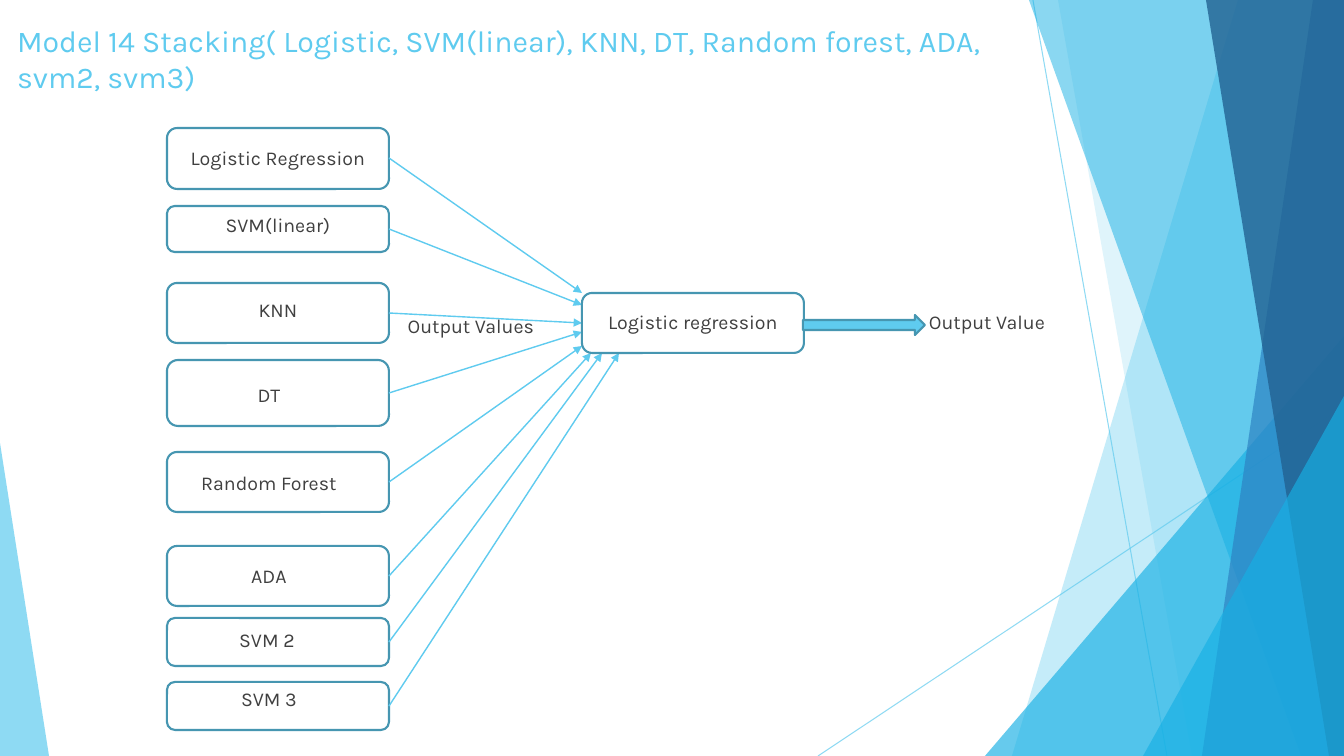
import dataclasses

import lxml.etree
import pptx
import pptx.dml.color
import pptx.enum.shapes
import pptx.enum.text
import pptx.oxml.ns
import pptx.util

SLIDE_WIDTH, SLIDE_HEIGHT = 1344, 756
SCALE = pptx.util.Inches(1) / 100.8
SHAPES = pptx.enum.shapes.MSO_SHAPE
ALIGN = pptx.enum.text.PP_ALIGN


@dataclasses.dataclass(frozen=True)
class Theme:
    font: str = "Karla"
    title_size: float = 21.6
    label_size: int = 14
    accent: str = "5FCBEF"
    bright: str = "17B0E4"
    blue: str = "2E83C3"
    navy: str = "226292"
    outline: str = "4696B1"
    text: str = "404040"


THEME = Theme()

# Facets from back to front: colour, opacity in percent, corner points
FACETS_BACK = [
    (THEME.accent, 36, [(1238, 0), (1344, 0), (1344, 756), (1012, 756)]),
    (THEME.accent, 20, [(1058, 0), (1344, 0), (1344, 756), (1192, 756)]),
]
FACETS_FRONT = [
    (THEME.bright, 50, [(1029, 0), (1344, 0), (1344, 756), (1301, 756)]),
    (THEME.blue, 70, [(1313, 0), (1344, 0), (1344, 756), (1202, 756)]),
    (THEME.navy, 80, [(1206, 0), (1344, 0), (1344, 756), (1329, 756)]),
]

# Base models: name, box top, box height, label left, label top, arrow target
MODEL_LEFT, BOX_WIDTH, LABEL_WIDTH = 167, 222, 204
MODELS = [
    ("Logistic Regression", 128, 61, 176, 141, (582, 293)),
    ("SVM(linear)", 206, 46, 176, 208, (582, 305)),
    ("KNN", 283, 60, 176, 293, (582, 323)),
    ("DT", 360, 66, 167, 378, (582, 332)),
    ("Random Forest", 452, 60, 167, 466, (582, 346)),
    ("ADA", 546, 60, 167, 559, (591, 353)),
    ("SVM 2", 618, 48, 165, 623, (602, 353)),
    ("SVM 3", 682, 48, 167, 682, (619, 353)),
]


def px(*lengths):
    return [pptx.util.Emu(round(length * SCALE)) for length in lengths]


def rgb(colour):
    return pptx.dml.color.RGBColor.from_string(colour)


def set_opacity(shape, percent):
    for colour in shape._element.spPr.iter(pptx.oxml.ns.qn("a:srgbClr")):
        lxml.etree.SubElement(
            colour, pptx.oxml.ns.qn("a:alpha"), val=str(percent * 1000))


def style_shape(shape, fill=None, line=None):
    shape.shadow.inherit = False
    if fill:
        shape.fill.solid()
        shape.fill.fore_color.rgb = rgb(fill)
    else:
        shape.fill.background()
    if line:
        shape.line.color.rgb = rgb(line)
        shape.line.width = pptx.util.Pt(1.5)
    else:
        shape.line.fill.background()


def write_text(shape, text, *, size, colour, align, space_before=0):
    frame = shape.text_frame
    frame.word_wrap = True
    frame.auto_size = pptx.enum.text.MSO_AUTO_SIZE.NONE
    frame.vertical_anchor = pptx.enum.text.MSO_ANCHOR.TOP
    para = frame.paragraphs[0]
    para.alignment = align
    para.space_before = pptx.util.Pt(space_before)
    span = para.add_run()
    span.text = text
    span.font.name = THEME.font
    span.font.size = pptx.util.Pt(size)
    span.font.color.rgb = rgb(colour)


def add_label(page, text, left, top, height):
    box = page.shapes.add_textbox(*px(left, top, LABEL_WIDTH, height))
    write_text(box, text, size=THEME.label_size, colour=THEME.text,
               align=ALIGN.CENTER, space_before=10)


def add_box(page, kind, left, top, width, height, fill=None):
    box = page.shapes.add_shape(kind, *px(left, top, width, height))
    style_shape(box, fill=fill, line=THEME.outline)


def add_line(page, start, end, width, opacity=100, arrow=False):
    line = page.shapes.add_connector(
        pptx.enum.shapes.MSO_CONNECTOR.STRAIGHT, *px(*start, *end))
    line.line.color.rgb = rgb(THEME.accent)
    line.line.width = pptx.util.Pt(width)
    if opacity < 100:
        set_opacity(line, opacity)
    if arrow:
        lxml.etree.SubElement(line.line._get_or_add_ln(),
                              pptx.oxml.ns.qn("a:tailEnd"), type="triangle")
    lxml.etree.SubElement(line._element.spPr, pptx.oxml.ns.qn("a:effectLst"))


def add_facet(page, colour, opacity, points):
    builder = page.shapes.build_freeform(*points[0], scale=SCALE)
    builder.add_line_segments(points[1:], close=True)
    facet = builder.convert_to_shape()
    style_shape(facet, fill=colour)
    set_opacity(facet, opacity)


def add_triangle(page, colour, opacity, left, top, width, apex):
    triangle = page.shapes.add_shape(
        SHAPES.ISOSCELES_TRIANGLE, *px(left, top, width, SLIDE_HEIGHT - top))
    triangle.adjustments[0] = apex
    style_shape(triangle, fill=colour)
    set_opacity(triangle, opacity)


def add_background(page):
    add_line(page, (1033, 0), (1167, 756), 0.75, opacity=70)
    add_line(page, (1344, 406), (818, 756), 0.75, opacity=70)
    for facet in FACETS_BACK:
        add_facet(page, *facet)
    add_triangle(page, THEME.bright, 66, 985, 336, 359, apex=1)
    for facet in FACETS_FRONT:
        add_facet(page, *facet)
    add_triangle(page, THEME.bright, 66, 1143, 396, 201, apex=1)
    add_triangle(page, THEME.accent, 70, 0, 443, 49, apex=0)


def add_title(page, text):
    title = page.shapes.title
    title.left, title.top, title.width, title.height = px(7, 17, 1001, 73)
    write_text(title, text, size=THEME.title_size, colour=THEME.accent,
               align=ALIGN.LEFT)


def add_model(page, name, top, height, label_left, label_top, target):
    add_box(page, SHAPES.ROUNDED_RECTANGLE, MODEL_LEFT, top, BOX_WIDTH, height)
    add_label(page, name, label_left, label_top, 48)
    start = (MODEL_LEFT + BOX_WIDTH, top + height // 2)
    add_line(page, start, target, 1, arrow=True)


def main():
    deck = pptx.Presentation()
    deck.slide_width, deck.slide_height = px(SLIDE_WIDTH, SLIDE_HEIGHT)
    page = deck.slides.add_slide(deck.slide_layouts.get_by_name("Title Only"))

    add_background(page)
    add_title(page, "Model 14 Stacking( Logistic, SVM(linear), KNN, DT, "
                    "Random forest, ADA, svm2, svm3)")

    # Base models feeding the final model
    for model in MODELS:
        add_model(page, *model)
    add_label(page, "Output Values", 369, 309, 38)

    # Final model and its result
    add_box(page, SHAPES.ROUNDED_RECTANGLE, 582, 293, BOX_WIDTH, 60)
    add_label(page, "Logistic regression", 591, 305, 38)
    add_box(page, SHAPES.RIGHT_ARROW, 803, 315, 122, 20, fill=THEME.accent)
    add_label(page, "Output Value", 885, 305, 38)

    deck.save("out.pptx")


if __name__ == "__main__":
    main()
